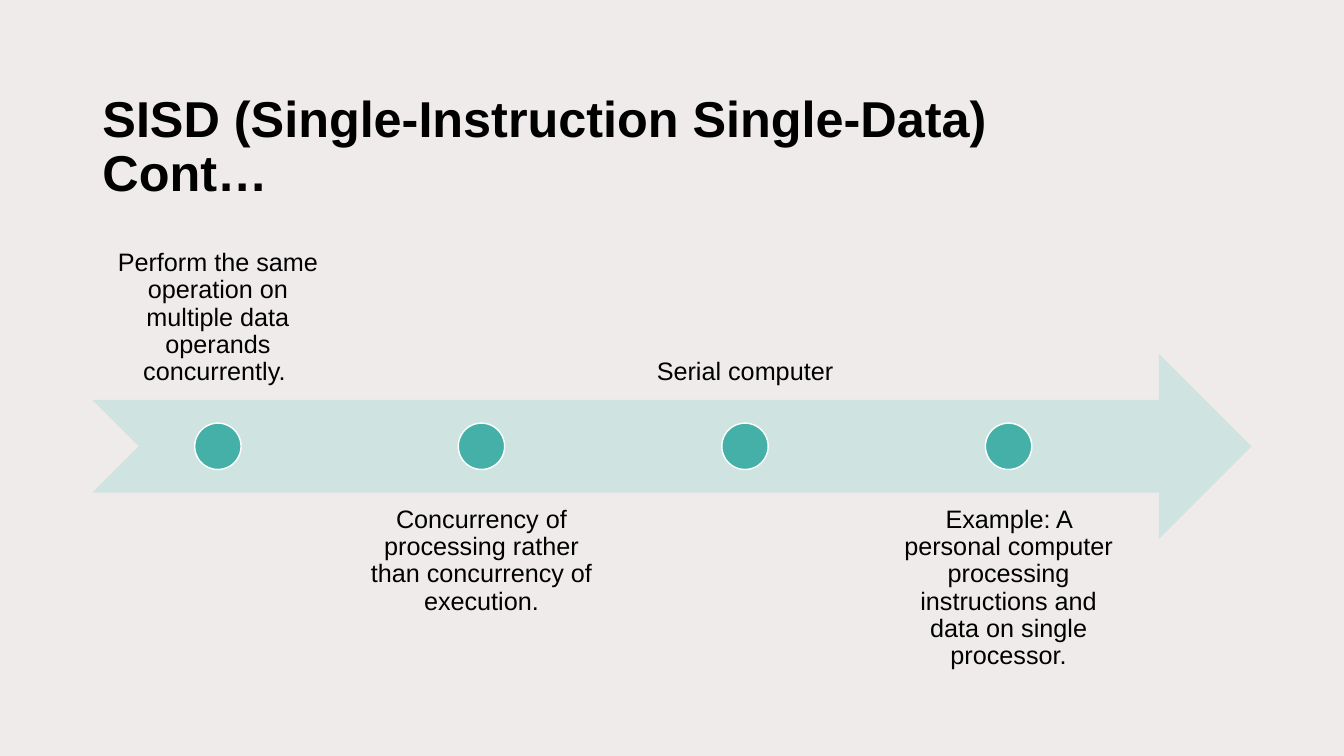
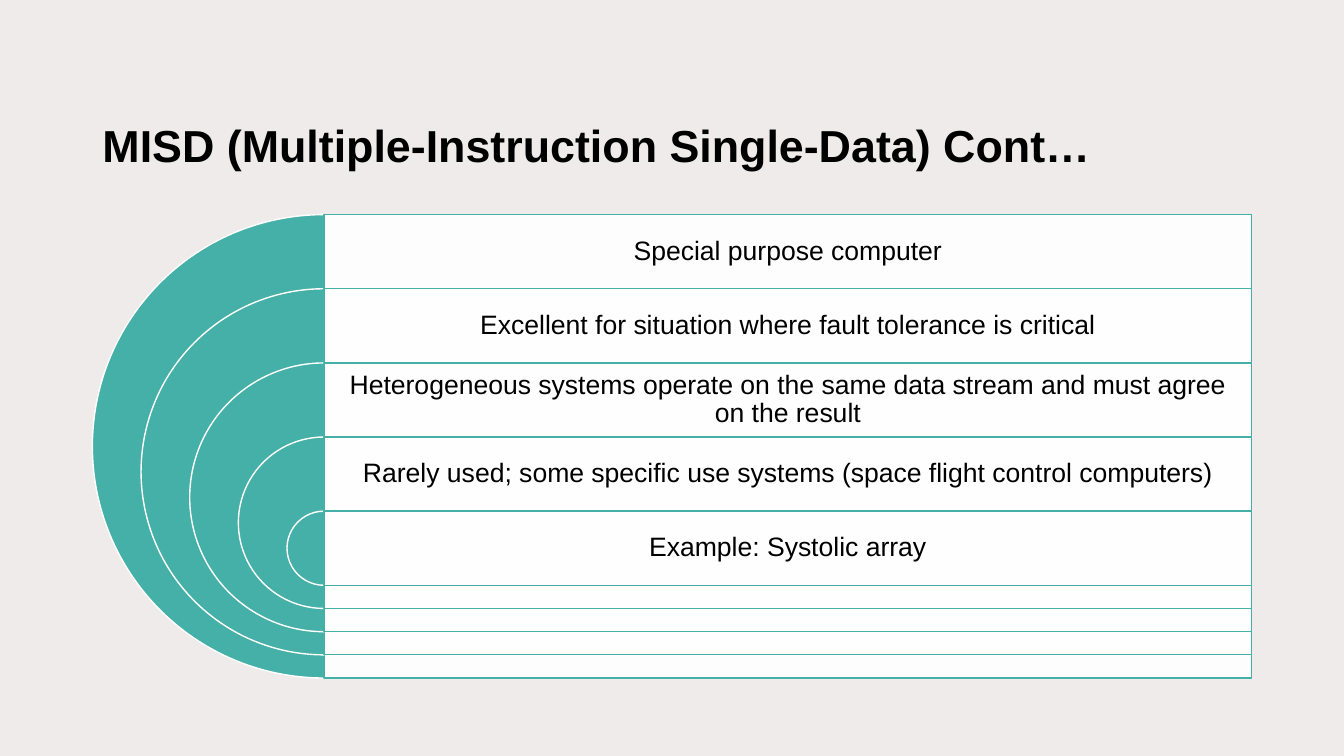
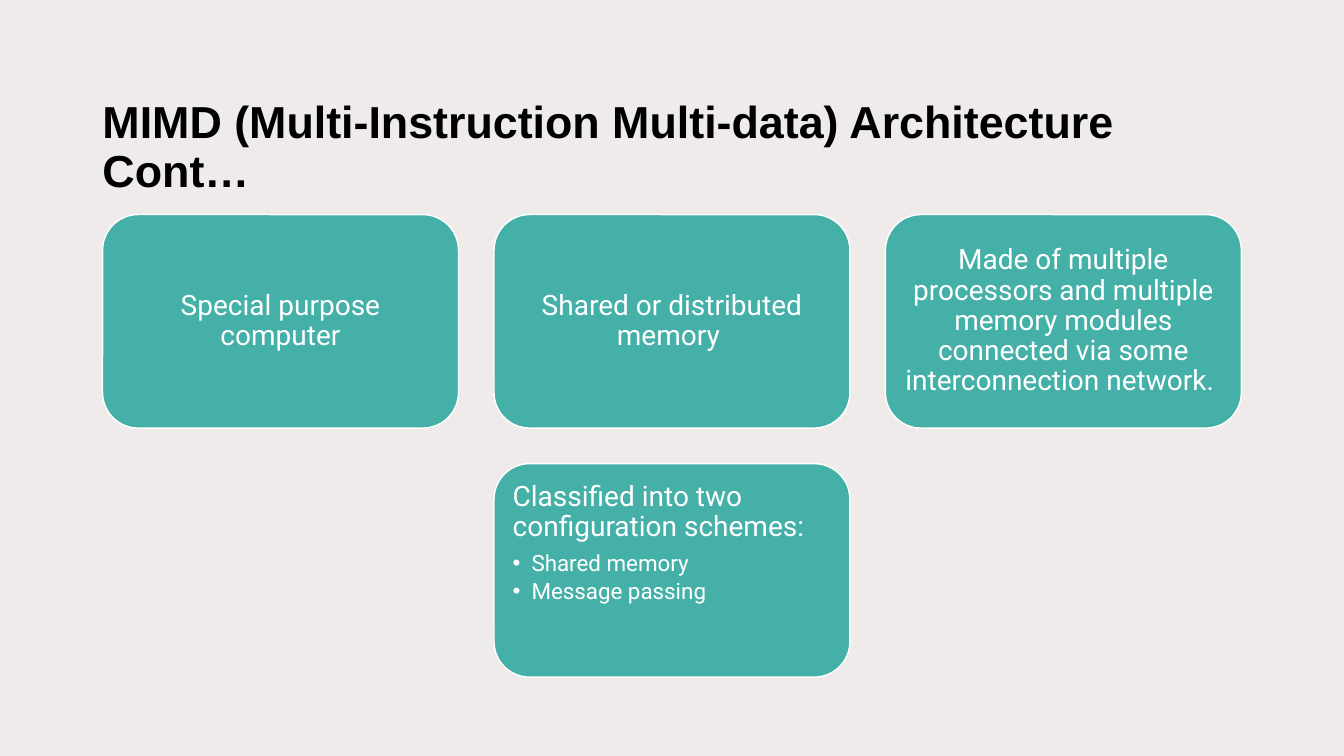
from dataclasses import dataclass
from typing import Optional

from lxml.etree import SubElement
from pptx import Presentation
from pptx.dml.color import RGBColor
from pptx.enum.shapes import MSO_SHAPE
from pptx.enum.text import MSO_ANCHOR, MSO_AUTO_SIZE, PP_ALIGN
from pptx.oxml.ns import qn
from pptx.presentation import Presentation as Deck
from pptx.shapes.autoshape import Shape
from pptx.slide import Slide
from pptx.text.text import TextFrame, _Paragraph
from pptx.util import Pt


@dataclass(frozen=True)
class Theme:
    backdrop: RGBColor = RGBColor(0xEF, 0xEB, 0xEB)
    teal: RGBColor = RGBColor(0x45, 0xB0, 0xA7)
    pale_teal: RGBColor = RGBColor(0xCF, 0xE4, 0xE1)
    white: RGBColor = RGBColor(0xFF, 0xFF, 0xFF)
    black: RGBColor = RGBColor(0, 0, 0)
    font: str = "Arial"
    card_font: str = "Roboto"
    large_title: float = 36
    title: float = 32
    caption: float = 18
    band: float = 19
    card: float = 20
    bullet: float = 16
    line_spacing: float = 0.9


@dataclass(frozen=True)
class Box:
    left: float
    top: float
    width: float
    height: float


@dataclass(frozen=True)
class TextStyle:
    size: float
    color: RGBColor
    font: str
    align: PP_ALIGN = PP_ALIGN.CENTER
    bold: bool = False


@dataclass(frozen=True)
class Milestone:
    text: str
    above: bool


@dataclass(frozen=True)
class Card:
    text: str
    column: int
    row: int


THEME = Theme()
CONTENT = Box(66, 153.3, 828, 331)
CAPTION = TextStyle(THEME.caption, THEME.black, THEME.font)
BAND = TextStyle(THEME.band, THEME.black, THEME.font)
CARD = TextStyle(THEME.card, THEME.white, THEME.card_font)
SCHEME_HEADING = TextStyle(THEME.card, THEME.white, THEME.card_font, PP_ALIGN.LEFT)
SCHEME = TextStyle(THEME.bullet, THEME.white, THEME.card_font, PP_ALIGN.LEFT)

MILESTONES = [
    Milestone("Perform the same operation on multiple data operands concurrently. ", True),
    Milestone("Concurrency of processing rather than concurrency of execution.", False),
    Milestone("Serial computer", True),
    Milestone("Example: A personal computer processing instructions and data on single processor.", False),
]
BANDS = [
    "Special purpose computer",
    "Excellent for situation where fault tolerance is critical",
    "Heterogeneous systems operate on the same data stream and must agree on the result",
    "Rarely used; some specific use systems (space flight control computers)",
    "Example: Systolic array",
]
CARDS = [
    Card("Special purpose computer", 0, 0),
    Card("Shared or distributed memory ", 1, 0),
    Card("Made of multiple processors and multiple memory modules "
         "connected via some interconnection network. ", 2, 0),
    Card("", 1, 1),
]
SCHEMES_HEADING = "Classified into two configuration schemes:"
SCHEMES = ["Shared memory", "Message passing"]


def place(shape: Shape, box: Box) -> None:
    shape.left, shape.top = Pt(box.left), Pt(box.top)
    shape.width, shape.height = Pt(box.width), Pt(box.height)


def write(paragraph: _Paragraph, text: str, style: TextStyle, after: float = 0) -> None:
    paragraph.alignment = style.align
    paragraph.line_spacing = THEME.line_spacing
    paragraph.space_before = Pt(0)
    paragraph.space_after = Pt(after)
    run = paragraph.add_run()
    run.text = text
    run.font.name = style.font
    run.font.size = Pt(style.size)
    run.font.bold = style.bold
    run.font.color.rgb = style.color


def set_frame(frame: TextFrame, anchor: MSO_ANCHOR, inset: float) -> None:
    frame.word_wrap = True
    frame.auto_size = MSO_AUTO_SIZE.NONE
    frame.vertical_anchor = anchor
    frame.margin_left = frame.margin_right = Pt(inset)
    frame.margin_top = frame.margin_bottom = Pt(inset)


def set_bullet(paragraph: _Paragraph, symbol: str = "", indent: float = 0) -> None:
    properties = paragraph._p.get_or_add_pPr()
    properties.set("marL", str(Pt(indent)))
    properties.set("indent", str(-Pt(indent)))
    if symbol:
        SubElement(properties, qn("a:buChar"), char=symbol)
    else:
        SubElement(properties, qn("a:buNone"))


def add_figure(slide: Slide, kind: MSO_SHAPE, box: Box, fill: RGBColor,
               line: Optional[RGBColor] = None, opacity: int = 100) -> Shape:
    figure = slide.shapes.add_shape(kind, 0, 0, 0, 0)
    place(figure, box)
    figure.shadow.inherit = False
    figure.fill.solid()
    figure.fill.fore_color.rgb = fill
    if opacity < 100:
        color = figure.element.find(".//" + qn("a:srgbClr"))
        SubElement(color, qn("a:alpha"), val=str(opacity * 1000))
    if line is None:
        figure.line.fill.background()
    else:
        figure.line.color.rgb = line
        figure.line.width = Pt(1)
    return figure


def add_label(slide: Slide, box: Box, text: str, style: TextStyle,
              anchor: MSO_ANCHOR, inset: float) -> None:
    label = slide.shapes.add_textbox(0, 0, 0, 0)
    place(label, box)
    set_frame(label.text_frame, anchor, inset)
    write(label.text_frame.paragraphs[0], text, style)


def add_titled_slide(deck: Deck, layout: str, title: str,
                     size: float = THEME.title, width: float = 745) -> Slide:
    slide = deck.slides.add_slide(deck.slide_layouts.get_by_name(layout))
    heading = slide.shapes.title
    place(heading, Box(CONTENT.left, 44, width, 124))
    set_frame(heading.text_frame, MSO_ANCHOR.MIDDLE, 7.2)
    style = TextStyle(size, THEME.black, THEME.font, PP_ALIGN.LEFT, True)
    write(heading.text_frame.paragraphs[0], title, style)
    return slide


def build_timeline(deck: Deck) -> None:
    slide = add_titled_slide(deck, "Title Only", "SISD (Single-Instruction Single-Data) Cont…",
                             THEME.large_title, 733)
    height = 0.4 * CONTENT.height
    arrow = Box(CONTENT.left, CONTENT.top + 0.3 * CONTENT.height, CONTENT.width, height)
    add_figure(slide, MSO_SHAPE.NOTCHED_RIGHT_ARROW, arrow, THEME.pale_teal)
    width = 179.3
    dot = 0.1 * CONTENT.height
    for index, milestone in enumerate(MILESTONES):
        left = CONTENT.left + index * 1.05 * width
        top = CONTENT.top if milestone.above else CONTENT.top + 0.6 * CONTENT.height
        anchor = MSO_ANCHOR.BOTTOM if milestone.above else MSO_ANCHOR.TOP
        add_label(slide, Box(left, top, width, height), milestone.text, CAPTION, anchor, 10)
        marker = Box(left + (width - dot) / 2, CONTENT.top + 0.45 * CONTENT.height, dot, dot)
        add_figure(slide, MSO_SHAPE.OVAL, marker, THEME.teal, THEME.white)


def build_nested_bands(deck: Deck) -> None:
    slide = add_titled_slide(deck, "Title Only", "MISD (Multiple-Instruction Single-Data) Cont…")
    center = CONTENT.left + CONTENT.height / 2
    band_width = CONTENT.left + CONTENT.width - center
    step = 0.16 * CONTENT.height
    for index, text in enumerate(BANDS):
        top = CONTENT.top + index * step
        diameter = CONTENT.height * (1 - 0.21 * index)
        half_disc = add_figure(slide, MSO_SHAPE.PIE,
                               Box(center - diameter / 2, top, diameter, diameter),
                               THEME.teal, THEME.white)
        half_disc.adjustments[0] = 54
        half_disc.adjustments[1] = 162
        add_figure(slide, MSO_SHAPE.RECTANGLE, Box(center, top, band_width, diameter),
                   THEME.white, THEME.teal, 90)
        add_label(slide, Box(center, top, band_width, step), text, BAND, MSO_ANCHOR.MIDDLE, 5.7)


def build_cards(deck: Deck) -> None:
    slide = add_titled_slide(deck, "Title and Content",
                             "MIMD (Multi-Instruction Multi-data) Architecture Cont…")
    schemes = slide.placeholders[1]
    width, height, gap = 254.2, 152.5, 25.4
    first_left = CONTENT.left + (CONTENT.width - 3 * width - 2 * gap) / 2
    for card in CARDS:
        box = Box(first_left + card.column * (width + gap),
                  CONTENT.top + card.row * (height + gap), width, height)
        panel = add_figure(slide, MSO_SHAPE.FLOWCHART_ALTERNATE_PROCESS, box,
                           THEME.teal, THEME.white)
        if card.text:
            set_frame(panel.text_frame, MSO_ANCHOR.MIDDLE, 5.7)
            write(panel.text_frame.paragraphs[0], card.text, CARD)
        else:
            pad = 7.6
            place(schemes, Box(box.left + pad, box.top + pad, width - 2 * pad, height - 2 * pad))
    slide.shapes.element.append(schemes.element)
    frame = schemes.text_frame
    set_frame(frame, MSO_ANCHOR.TOP, 5.7)
    heading = frame.paragraphs[0]
    set_bullet(heading)
    write(heading, SCHEMES_HEADING, SCHEME_HEADING, 7)
    for scheme in SCHEMES:
        item = frame.add_paragraph()
        item.level = 1
        set_bullet(item, "•", 13.5)
        write(item, scheme, SCHEME, 2.4)


def main() -> None:
    deck = Presentation()
    deck.slide_width, deck.slide_height = Pt(960), Pt(540)
    backdrop = deck.slide_master.background.fill
    backdrop.solid()
    backdrop.fore_color.rgb = THEME.backdrop
    build_timeline(deck)
    build_nested_bands(deck)
    build_cards(deck)
    deck.save("out.pptx")


if __name__ == "__main__":
    main()
